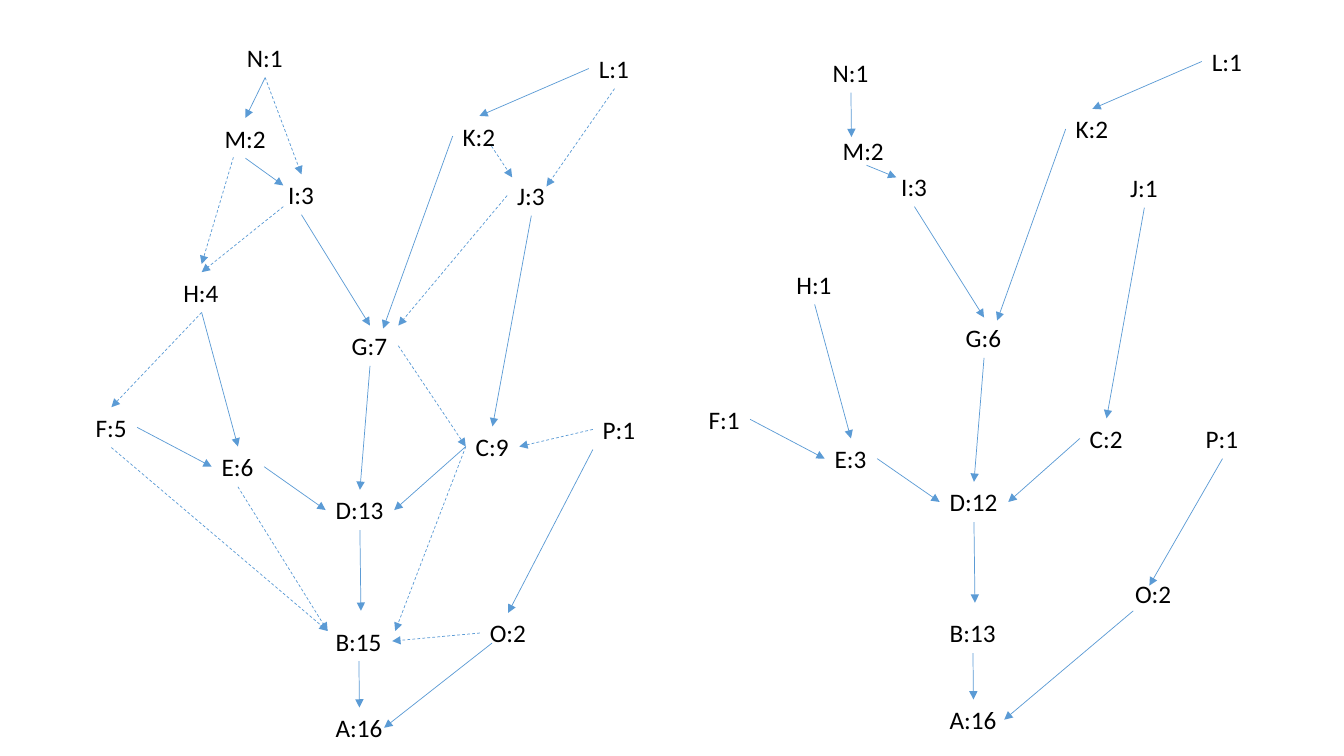
from lxml.etree import SubElement
from pptx import Presentation
from pptx.dml.color import RGBColor
from pptx.enum.dml import MSO_LINE
from pptx.enum.shapes import MSO_CONNECTOR
from pptx.enum.text import MSO_AUTO_SIZE
from pptx.oxml.ns import qn
from pptx.util import Inches, Pt

COLORS = {"text": "000000", "arrow": "5B9BD5"}
FONT = {"name": "Calibri", "size": Pt(18)}
FRAME = {"word_wrap": False, "auto_size": MSO_AUTO_SIZE.SHAPE_TO_FIT_TEXT}

# Grid cells are a tenth of an inch; a node is four rows high
CELL = 0.1
HIGH = 4
WIDE = {"A": 6.7, "B": 6.6, "C": 5.3, "D": 6.8, "E": 5.2, "F": 5.1,
        "G": 5.6, "H": 5.6, "I": 4.6, "J": 4.8, "K": 5.3, "L": 5.1,
        "M": 6.1, "N": 5.6, "O": 5.6, "P": 5.3}

# Ports of a node as shares of its box: sides and corners
PORTS = {"t": (0.5, 0), "b": (0.5, 1), "l": (0, 0.5), "r": (1, 0.5),
         "tl": (0, 0), "tr": (1, 0), "bl": (0, 1)}

# Nodes: label, column, row
FULL_NODES = [
    ("A:16", 32.3, 70.2), ("B:15", 32.3, 61.6), ("C:9", 46.2, 42.3),
    ("D:13", 32.3, 48.6), ("E:6", 21, 44.3), ("F:5", 8.5, 40.4),
    ("G:7", 33.9, 32.3), ("H:4", 17.2, 27), ("I:3", 27.6, 17.3),
    ("J:3", 50.3, 17.4), ("K:2", 44.9, 11.5), ("L:1", 58.4, 4.8),
    ("M:2", 21.3, 11.7), ("N:1", 23.5, 3.7), ("O:2", 47.6, 60.8),
    ("P:1", 58.8, 40.6),
]
TREE_NODES = [
    ("A:16", 93.2, 69.4), ("B:13", 93.2, 60.8), ("C:2", 107.1, 41.5),
    ("D:12", 93.2, 47.8), ("E:3", 81.8, 43.5), ("F:1", 69.3, 39.6),
    ("G:6", 94.8, 31.5), ("H:1", 78, 26.2), ("I:3", 88.4, 16.5),
    ("J:1", 111.1, 16.6), ("K:2", 105.7, 10.8), ("L:1", 119.2, 4.1),
    ("M:2", 82.6, 12.9), ("N:1", 81.6, 5.2), ("O:2", 111.6, 56.9),
    ("P:1", 118.6, 41.5),
]

# Links: ports joined by > (solid) or ~ (dashed)
SHARED = ("Cl>Dr Er>Dl Fr>El Gb>Dt Hb>Et Ib>Gt Jb>Ct Ll>Kt Bb>At").split()
FULL_LINKS = SHARED + "Gr~Cl Hb~Ft Jl~Gtr Nb>Mt Nb~It Ol~Br Pbl>Ot Pl~Cr".split()

# Links with nudged ends: ports, start shift, end shift
FULL_BENT = [
    ("Cl~Br", (0, 0), (0.3, -1)), ("Db>Bt", (0, 0), (0.2, -1)),
    ("Eb~Bl", (0, 0), (0.2, -1)), ("Fb~Bl", (0, 0), (0.2, -1)),
    ("Kl>Gt", (0, 0), (1.3, 0.3)), ("Kb~Jtl", (1.2, -1), (0.5, 0.2)),
    ("Lb~Jr", (0, 0), (-0.9, -0.9)), ("Mb>Il", (0, 0), (0.5, -0.9)),
    ("Il~Ht", (0.5, 1.2), (0, 0)), ("Mb~Ht", (-1.2, -0.1), (0, -0.8)),
    ("Ol>Ar", (1.2, 1), (-0.9, 0)),
]
TREE_BENT = [
    ("Db>Bt", (0, 0), (0.2, -1)), ("Kl>Gt", (0, 0), (1.3, 0.3)),
    ("Mb>Il", (0.3, -0.5), (0.5, -0.9)), ("Nb>Mt", (0, 0), (-1.2, 0.7)),
    ("Pb>Ot", (0, 0), (-0.4, 1.2)), ("Obl>Ar", (0.8, -0.3), (-0.3, 0)),
]


def grid(*cells):
    return [Inches(cell * CELL) for cell in cells]


def style(item, values):
    for key, value in values.items():
        setattr(item, key, value)


def tint(name):
    return RGBColor.from_string(COLORS[name])


def node(slide, label, col, row):
    box = slide.shapes.add_textbox(*grid(col, row, WIDE[label[0]], HIGH))
    style(box.text_frame, FRAME)
    run = box.text_frame.paragraphs[0].add_run()
    run.text = label
    style(run.font, FONT)
    run.font.color.rgb = tint("text")


def point(spots, end, shift):
    col, row = spots[end[0]]
    across, down = PORTS[end[1:]]
    return grid(col + across * WIDE[end[0]] + shift[0],
                row + down * HIGH + shift[1])


def arrow(slide, spots, link, start=(0, 0), stop=(0, 0)):
    dashed = "~" in link
    tail, head = link.split("~" if dashed else ">")
    line = slide.shapes.add_connector(
        MSO_CONNECTOR.STRAIGHT,
        *point(spots, tail, start), *point(spots, head, stop))
    line.line.color.rgb = tint("arrow")
    line.line.width = Pt(0.5)
    if dashed:
        line.line.dash_style = MSO_LINE.DASH
    # Arrowhead on, shadow off
    props = line.element.spPr
    SubElement(props.find(qn("a:ln")), qn("a:tailEnd"), type="triangle")
    SubElement(props, qn("a:effectLst"))


def graph(slide, nodes, links, bent):
    spots = {label[0]: (col, row) for label, col, row in nodes}
    for item in nodes:
        node(slide, *item)
    for link in links:
        arrow(slide, spots, link)
    for item in bent:
        arrow(slide, spots, *item)


def main():
    deck = Presentation()
    style(deck, {"slide_width": Inches(13.33), "slide_height": Inches(7.5)})
    slide = deck.slides.add_slide(deck.slide_layouts[6])
    # Full graph on the left, solid tree on the right
    graph(slide, FULL_NODES, FULL_LINKS, FULL_BENT)
    graph(slide, TREE_NODES, SHARED, TREE_BENT)
    deck.save("out.pptx")


main()
